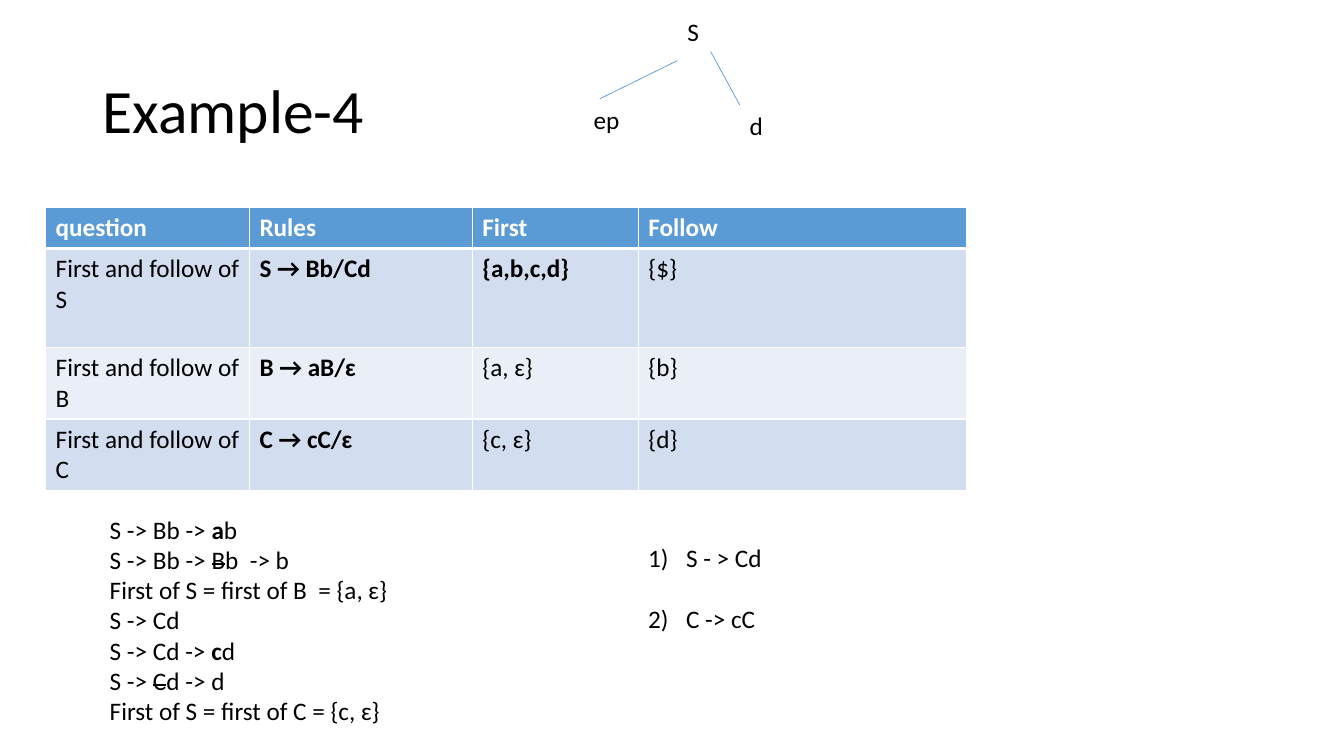
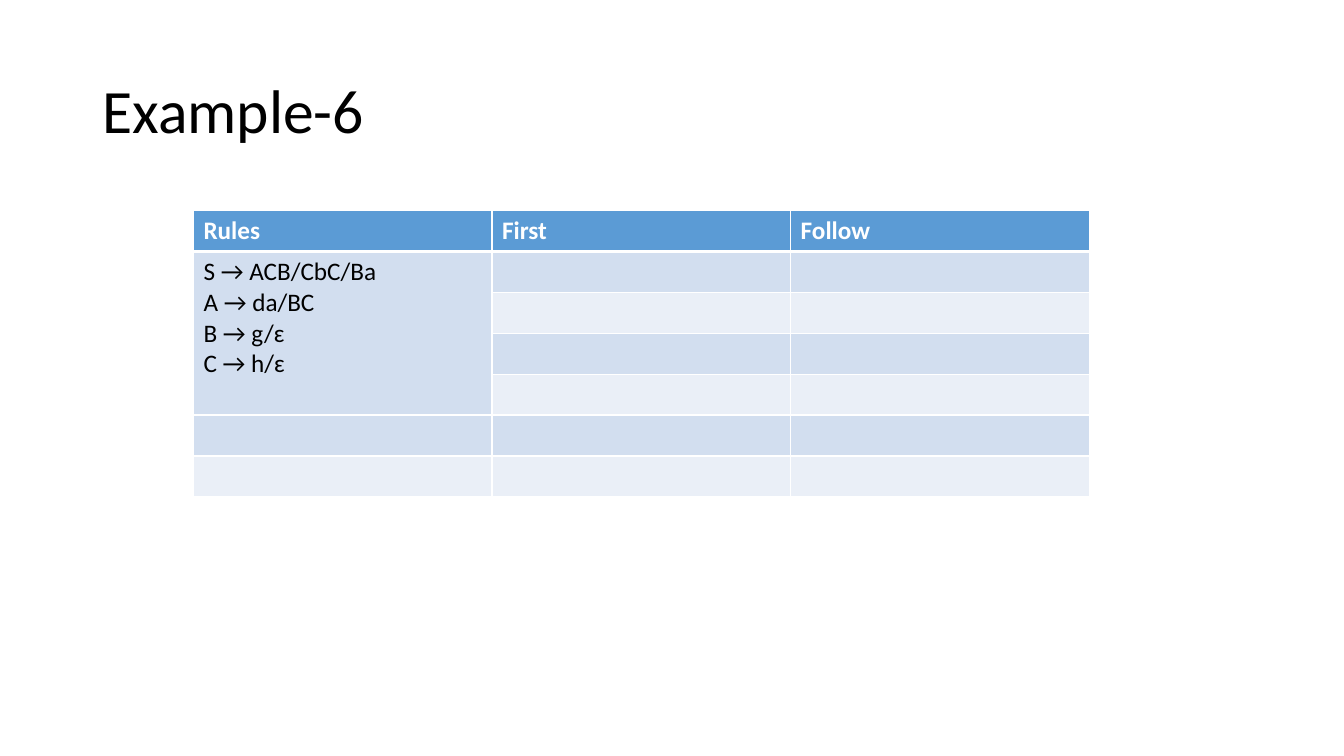
from pptx import Presentation
from pptx.dml.color import RGBColor
from pptx.enum import shapes, text
from pptx.oxml import parse_xml
from pptx.oxml.ns import nsdecls
from pptx.util import Pt

FONT = "Calibri"
BLACK, WHITE, BLUE = "000000", "FFFFFF", "5B9BD5"
BANDS = "D2DEEF", "EAEFF7"
TITLE_BOX = 66, 28.8, 828, 104.4


def color(hex_string):
    return RGBColor.from_string(hex_string)


def bold(words):
    return [(words, {"bold": True})]


def struck(words):
    return [(words, {"strike": True})]


def plain(words):
    return [(words, {})]


def add_run(paragraph, words, size=18, ink=BLACK, bold=False, strike=False):
    run = paragraph.add_run()
    run.text = words
    run.font.name, run.font.size, run.font.bold = FONT, Pt(size), bold
    run.font.color.rgb = color(ink)
    if strike:
        run.font._rPr.set("strike", "sngStrike")


def write(frame, paragraphs, line_spacing=1.0, before=0, gap=0, **style):
    for index, content in enumerate(paragraphs):
        paragraph = frame.paragraphs[0] if index == 0 else frame.add_paragraph()
        paragraph.alignment = text.PP_ALIGN.LEFT
        paragraph.line_spacing = line_spacing
        paragraph.space_before = Pt(gap if index else before)
        runs = plain(content) if isinstance(content, str) else content
        for words, emphasis in runs:
            add_run(paragraph, words, **{**style, **emphasis})


def place(shape, box):
    shape.left, shape.top, shape.width, shape.height = map(Pt, box)


def add_title(slide, words):
    title = slide.shapes.title
    place(title, TITLE_BOX)
    frame = title.text_frame
    frame.auto_size = text.MSO_AUTO_SIZE.NONE
    frame.vertical_anchor = text.MSO_ANCHOR.MIDDLE
    write(frame, [words], size=44, line_spacing=0.9)


def add_text(slide, box, paragraphs):
    frame = slide.shapes.add_textbox(*map(Pt, box)).text_frame
    frame.word_wrap = False
    write(frame, paragraphs)


def add_branch(slide, start, end):
    branch = slide.shapes.add_connector(
        shapes.MSO_CONNECTOR.STRAIGHT, *map(Pt, start + end))
    branch.line.color.rgb = color(BLUE)
    branch.line.width = Pt(0.5)
    branch._element.spPr.append(parse_xml(f"<a:effectLst {nsdecls('a')}/>"))


def add_tree(slide, left, top):
    for x, y, width, label in (
            (67, 0, 23, "S"), (111.5, 67, 24.5, "d"), (0, 62.6, 33, "ep")):
        add_text(slide, (left + x, top + y, width, 29), [label])
    for start, end in (((67, 35.3), (11.5, 62.6)), ((90.7, 28.8), (111.5, 67))):
        add_branch(slide, (left + start[0], top + start[1]),
                   (left + end[0], top + end[1]))


def format_cell(cell, fill, header_edges):
    properties = cell._tc.get_or_add_tcPr()
    for side in "LRTB":
        width = Pt(3 if side in header_edges else 1)
        properties.append(parse_xml(
            f'<a:ln{side} {nsdecls("a")} w="{width}"><a:solidFill>'
            f'<a:srgbClr val="{WHITE}"/></a:solidFill></a:ln{side}>'))
    cell.fill.solid()
    cell.fill.fore_color.rgb = color(fill)


def add_grid(slide, left, top, widths, heights, rows):
    grid = slide.shapes.add_table(
        len(heights), len(widths), Pt(left), Pt(top),
        Pt(sum(widths)), Pt(sum(heights))).table
    for column, width in zip(grid.columns, widths):
        column.width = Pt(width)
    for index, height in enumerate(heights):
        grid.rows[index].height = Pt(height)
        fill = BANDS[(index - 1) % 2] if index else BLUE
        for cell in grid.rows[index].cells:
            format_cell(cell, fill, {0: "B", 1: "T"}.get(index, ""))
    for index, row in enumerate(rows):
        style = {} if index else {"ink": WHITE, "bold": True}
        for column, paragraphs in enumerate(row):
            write(grid.cell(index, column).text_frame, paragraphs, **style)
    return grid


def add_numbered_list(slide, box, items):
    body = slide.placeholders[1]
    place(body, box)
    frame = body.text_frame
    frame.auto_size = text.MSO_AUTO_SIZE.NONE
    write(frame, items, gap=21.8)
    for paragraph in frame.paragraphs:
        properties = paragraph._p.get_or_add_pPr()
        properties.set("marL", str(Pt(27)))
        properties.set("indent", str(Pt(-27)))
        properties.append(parse_xml(
            f'<a:buFont {nsdecls("a")} typeface="{FONT}"/>'))
        properties.append(parse_xml(
            f'<a:buAutoNum {nsdecls("a")} type="arabicParenR"/>'))


def build_first_follow(deck):
    slide = deck.slides.add_slide(deck.slide_layouts[1])
    add_title(slide, "Example-4")
    sets = (("S", "S → Bb/Cd", bold("{a,b,c,d}"), "{$}"),
            ("B", "B → aB/ɛ", "{a, ɛ}", "{b}"),
            ("C", "C → cC/ɛ", "{c, ɛ}", "{d}"))
    rows = [[[name] for name in ("question", "Rules", "First", "Follow")]]
    rows += [[[f"First and follow of {symbol}"], [bold(rule)], [first], [follow]]
             for symbol, rule, first, follow in sets]
    add_grid(slide, 32.6, 148.4, (145.6, 159.2, 118.6, 234.6),
             (29.2, 70.5, 50.4, 50.4), rows)
    add_tree(slide, 416.9, 8)
    add_text(slide, (71.3, 363.6, 219.6, 159.8), [
        plain("S -> Bb -> ") + bold("a") + plain("b"),
        plain("S -> Bb -> ") + struck("B") + plain("b  -> b"),
        "First of S = first of B  = {a, ɛ}",
        "S -> Cd",
        plain("S -> Cd -> ") + bold("c") + plain("d"),
        plain("S -> ") + struck("C") + plain("d -> d"),
        "First of S = first of C = {c, ɛ}"])
    add_numbered_list(slide, (455.8, 383.8, 96.5, 72.7), ["S - > Cd", "C -> cC"])


def build_exercise(deck):
    slide = deck.slides.add_slide(deck.slide_layouts[5])
    add_title(slide, "Example-6")
    rules = ["S → ACB/CbC/Ba", "A → da/BC", "B → g/ɛ", "C → h/ɛ"]
    grid = add_grid(slide, 138.2, 150.5, [213.3] * 3, [29.2] * 7,
                    [[["Rules"], ["First"], ["Follow"]], [rules]])
    grid.cell(1, 0).merge(grid.cell(4, 0))


def main():
    deck = Presentation()
    deck.slide_width, deck.slide_height = Pt(960), Pt(540)
    build_first_follow(deck)
    build_exercise(deck)
    deck.save("out.pptx")


if __name__ == "__main__":
    main()
